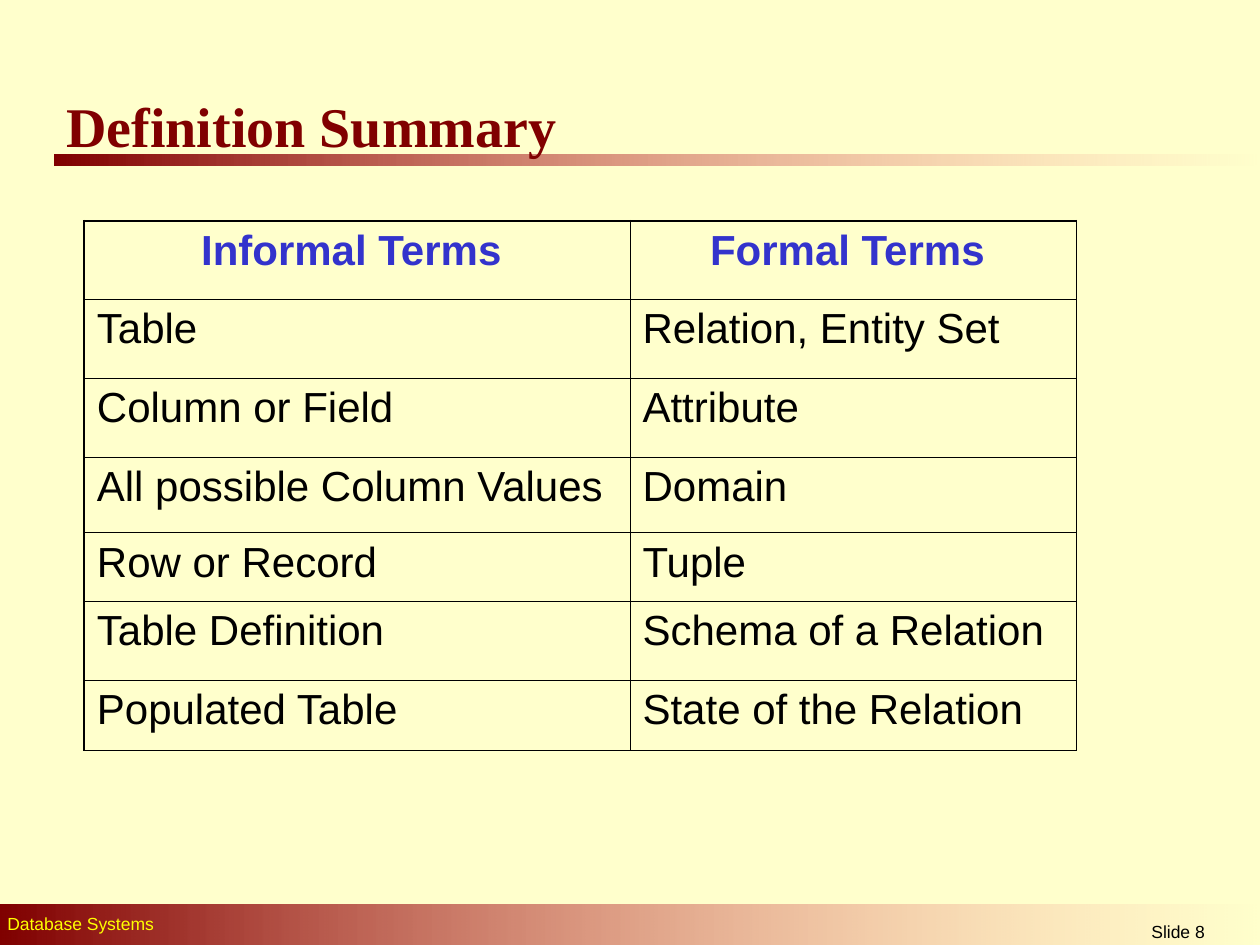
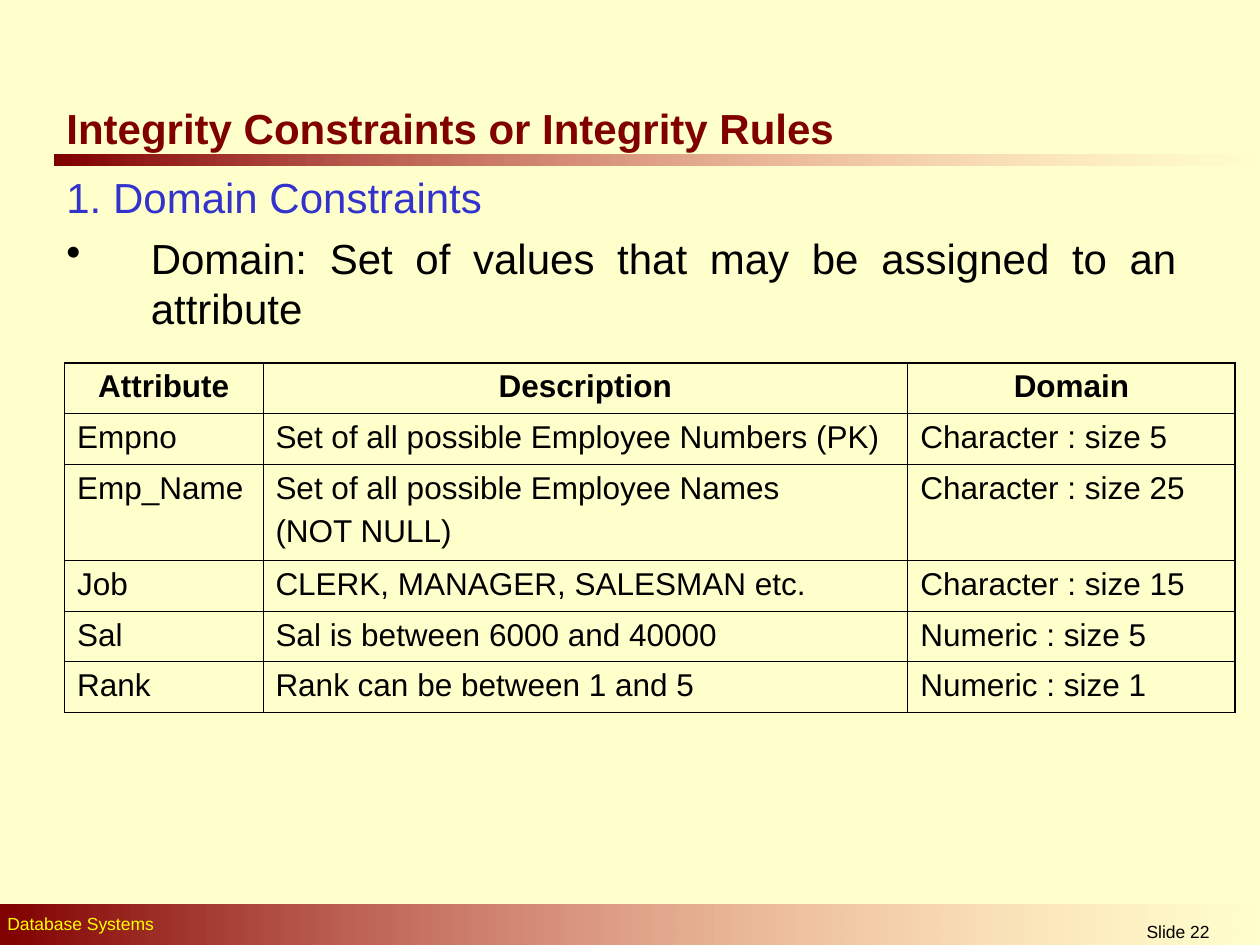
from dataclasses import dataclass

from lxml.etree import SubElement
from pptx import Presentation
from pptx.dml.color import RGBColor
from pptx.enum.shapes import MSO_SHAPE
from pptx.enum.text import MSO_ANCHOR, PP_ALIGN
from pptx.oxml import parse_xml
from pptx.oxml.ns import nsdecls, qn
from pptx.util import Cm, Pt


@dataclass(frozen=True)
class Theme:
    paper: str = "FFFFCC"
    dark: str = "800000"
    fade: str = "FF8585"
    blue: str = "3333CC"
    ink: str = "000000"
    lemon: str = "FFFF00"
    sans: str = "Arial"
    serif: str = "Times New Roman"
    head: int = 32
    text: int = 24
    cell: int = 18
    foot: int = 10
    thin: float = 0.45
    thick: float = 1.08


T = Theme()
WIDE, HIGH = 25.4, 19.05
LEFT = 1.09      # left edge of title, rule and body
RULE = 3.12      # top of the rule under the title
HANG = 1.7       # hanging indent of a bullet


def write(frame, text, *, size=T.text, color=T.ink, font=T.sans, bold=False,
          align=PP_ALIGN.LEFT, gap=0, bullet=None):
    """Add each line of text as a paragraph, with gap points between them."""
    for line in text.split("\n"):
        para = frame.paragraphs[0]
        if para.runs:
            para = frame.add_paragraph()
            para.space_before = Pt(gap)
        para.alignment = align
        if bullet:
            props = para._p.get_or_add_pPr()
            props.set("marL", str(Cm(HANG)))
            props.set("indent", str(-Cm(HANG)))
            SubElement(props, qn("a:buChar")).set("char", bullet)
        run = para.add_run()
        run.text = line
        run.font.size = Pt(size)
        run.font.name = font
        run.font.bold = bold
        run.font.color.rgb = RGBColor.from_string(color)


def frame(slide, box, anchor=MSO_ANCHOR.TOP):
    """Add a wrapping text box and return its text frame."""
    area = slide.shapes.add_textbox(*map(Cm, box)).text_frame
    area.word_wrap = True
    area.vertical_anchor = anchor
    return area


def band(slide, box):
    """Add a bar that fades out to the right."""
    bar = slide.shapes.add_shape(MSO_SHAPE.RECTANGLE, *map(Cm, box))
    bar.shadow.inherit = False
    bar.line.fill.background()
    bar.fill.gradient()
    bar.fill.gradient_angle = 0
    for stop, color in zip(bar.fill.gradient_stops, (T.dark, T.fade)):
        stop.color.rgb = RGBColor.from_string(color)
    last = list(bar._element.iter(qn("a:srgbClr")))[-1]
    SubElement(last, qn("a:alpha")).set("val", "0")


def title(slide, text, box, **look):
    """Title standing on the rule."""
    x, y, w, h = box
    band(slide, (x, y + h, WIDE - x, 0.21))
    write(frame(slide, box, MSO_ANCHOR.MIDDLE), text,
          color=T.dark, bold=True, **look)


def footer(slide, number, box):
    """Band with the course name and the slide number."""
    x, y, w, h = box
    band(slide, box)
    write(frame(slide, (x - 0.1, y + 0.05, 16.41, 0.69)), "Database Systems",
          size=T.foot, color=T.lemon)
    write(frame(slide, (x + 21.11, y + 0.2, 5.28, 0.61)), f"Slide {number}",
          size=T.foot, align=PP_ALIGN.CENTER)


def edge(cell, outer):
    """Draw the four borders of a cell, thicker on the table's outside."""
    props = cell._tc.get_or_add_tcPr()
    for at, side in enumerate("LRTB"):
        width = Pt(T.thick if side in outer else T.thin)
        props.insert(at, parse_xml(
            f'<a:ln{side} {nsdecls("a")} w="{width}"><a:solidFill>'
            f'<a:srgbClr val="{T.ink}"/></a:solidFill></a:ln{side}>'))


def grid(slide, spot, cols, rows, data, *, size, gap=0, top=T.ink):
    """Table with a bold centred first row; sizes are in centimetres."""
    box = (*spot, sum(cols), sum(rows))
    table = slide.shapes.add_table(len(rows), len(cols), *map(Cm, box)).table
    table.first_row = table.horz_banding = False
    for col, width in zip(table.columns, cols):
        col.width = Cm(width)
    for row, height in zip(table.rows, rows):
        row.height = Cm(height)
    for r, line in enumerate(data):
        for c, text in enumerate(line):
            cell = table.cell(r, c)
            cell.fill.background()
            sides = {"L": c == 0, "R": c == len(cols) - 1,
                     "T": r == 0, "B": r == len(rows) - 1}
            edge(cell, [side for side, out in sides.items() if out])
            first = r == 0
            write(cell.text_frame, text, size=size, gap=gap, bold=first,
                  color=top if first else T.ink,
                  align=PP_ALIGN.CENTER if first else PP_ALIGN.LEFT)


def start(deck, number):
    """Add a blank slide with its footer."""
    slide = deck.slides.add_slide(deck.slide_layouts[6])
    footer(slide, number, (0, 18.24, WIDE, HIGH - 18.24))
    return slide


def terms(deck):
    """Informal terms against formal terms."""
    slide = start(deck, 8)
    title(slide, "Definition Summary", (LEFT, RULE - 1.19, 11.3, 1.19),
          size=T.head, font=T.serif)
    data = [
        ("Informal Terms ", "Formal Terms "),
        ("Table", "Relation, Entity Set"),
        ("Column or Field", "Attribute"),
        ("All possible Column Values", "Domain"),
        ("Row or Record", "Tuple"),
        ("Table Definition", "Schema of a Relation"),
        ("Populated Table", "State of the Relation"),
    ]
    grid(slide, (1.7, 4.45), (11, 9),
         (1.59, 1.59, 1.58, 1.53, 1.39, 1.59, 1.41), data,
         size=T.text, top=T.blue)


def rules(deck):
    """Domain constraints with an example table."""
    slide = start(deck, 22)
    title(slide, "Integrity Constraints or Integrity Rules",
          (LEFT, RULE - 1.09, 17, 1.09))
    body = frame(slide, (LEFT, 3.33, 22.88, 3.6))
    write(body, "1. Domain Constraints", color=T.blue)
    write(body, "Domain: Set of values that may be assigned to an attribute",
          align=PP_ALIGN.JUSTIFY, gap=6, bullet="•")
    data = [
        ("Attribute", "Description", "Domain"),
        ("Empno", "Set of all possible Employee Numbers (PK)",
         "Character : size 5"),
        ("Emp_Name", "Set of all possible Employee Names\n(NOT NULL)",
         "Character : size 25"),
        ("Job", "CLERK, MANAGER, SALESMAN etc.", "Character : size 15"),
        ("Sal", "Sal is between 6000 and 40000", "Numeric : size 5"),
        ("Rank", "Rank can be between 1 and 5", "Numeric : size 1"),
    ]
    rows = [1.94 if "\n" in line[1] else 1.02 for line in data]
    grid(slide, (1.3, 7.32), (4, 13, 6.6), rows, data, size=T.cell, gap=4.5)


def main():
    deck = Presentation()
    deck.slide_width, deck.slide_height = Cm(WIDE), Cm(HIGH)
    paper = deck.slide_master.background.fill
    paper.solid()
    paper.fore_color.rgb = RGBColor.from_string(T.paper)
    terms(deck)
    rules(deck)
    deck.save("out.pptx")


if __name__ == "__main__":
    main()
